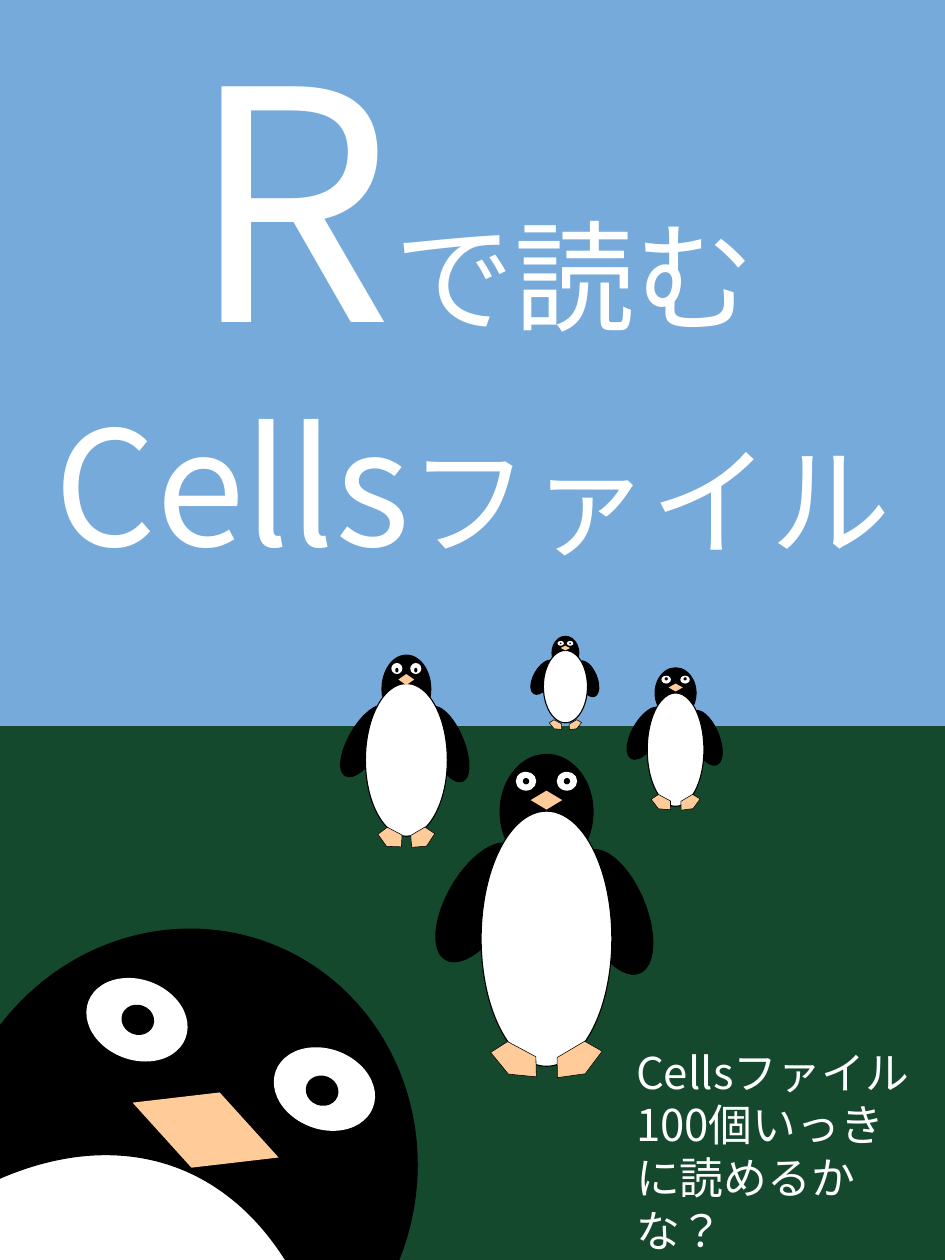
"""Build a book cover with penguins standing on a green field."""
import pptx
import pptx.util
import pptx.dml.color
import pptx.enum.lang
import pptx.enum.shapes
import pptx.enum.text
import lxml.etree

Cm = pptx.util.Cm
Pt = pptx.util.Pt
KIND = pptx.enum.shapes.MSO_SHAPE
INCH = 2.54

THEME = {
    "sky": "75AADB", "field": "15492E", "black": "000000",
    "white": "FFFFFF", "beak": "FFCC99", "font": "Noto Sans CJK JP",
    "letter": 147, "word": 73, "kana": 55, "note": 20,
}


def add_part(shapes, kind, box, fill, line=0, turn=0):
    part = shapes.add_shape(kind, *(Cm(side * INCH) for side in box))
    part.shadow.inherit = False
    part.rotation = turn
    part.fill.solid()
    part.fill.fore_color.rgb = pptx.dml.color.RGBColor.from_string(THEME[fill])
    if line:
        part.line.color.rgb = pptx.dml.color.RGBColor.from_string(THEME["black"])
        part.line.width = Pt(line)
    else:
        part.line.fill.background()


def add_text(shapes, box, paragraphs, align):
    frame = shapes.add_textbox(*(Cm(side * INCH) for side in box)).text_frame
    frame.word_wrap = True
    frame.auto_size = pptx.enum.text.MSO_AUTO_SIZE.SHAPE_TO_FIT_TEXT
    for index, spans in enumerate(paragraphs):
        para = frame.add_paragraph() if index else frame.paragraphs[0]
        para.alignment = align
        for text, size in spans:
            span = para.add_run()
            span.text = text
            span.font.size = Pt(THEME[size])
            span.font.name = THEME["font"]
            span.font.language_id = pptx.enum.lang.MSO_LANGUAGE_ID.JAPANESE
            span.font.color.rgb = pptx.dml.color.RGBColor.from_string(THEME["white"])
            east = lxml.etree.SubElement(span.font._element, pptx.oxml.ns.qn("a:ea"))
            east.set("typeface", THEME["font"])


deck = pptx.Presentation()
deck.slide_width = Cm(6 * INCH)
deck.slide_height = Cm(8 * INCH)
page = deck.slides.add_slide(deck.slide_layouts[6])

add_part(page.shapes, KIND.RECTANGLE, (0, 4.56, 6, 3.44), "field")
add_part(page.shapes, KIND.RECTANGLE, (0, -0.02, 6, 4.63), "sky")
add_text(page.shapes, (0, -0.04, 6, 3.81),
         [[("R", "letter"), ("で読む", "kana")],
          [("Cells", "word"), ("ファイル", "kana")]],
         pptx.enum.text.PP_ALIGN.CENTER)

PARTS = {
    "head": (KIND.OVAL, "black", 0.5, (0,)),
    "wing": (KIND.OVAL, "black", 0.5, (30.1, 337.4)),
    "belly": (KIND.OVAL, "white", 0.5, (0,)),
    "eye": (KIND.OVAL, "white", 0, (0, 0)),
    "pupil": (KIND.OVAL, "black", 0, (0, 0)),
    "foot": (KIND.REGULAR_PENTAGON, "beak", 0.25, (208.1, 149.4)),
    "beak": (KIND.DIAMOND, "beak", 0, (0,)),
}
PENGUINS = [
    {"middle": 3.47, "wing drop": 0.06,
     "head": (0, 4.79, 0.59, 0.73), "wing": (0.43, 5.31, 0.4, 0.84),
     "belly": (0, 5.15, 0.83, 1.62), "eye": (0.13, 4.9, 0.13, 0.12),
     "pupil": (0.13, 4.94, 0.04, 0.04), "foot": (0.2, 6.65, 0.33, 0.18),
     "beak": (0, 5.02, 0.2, 0.12)},
    {"middle": 2.58, "wing drop": 0.02,
     "head": (0, 4.16, 0.31, 0.43), "wing": (0.26, 4.45, 0.21, 0.51),
     "belly": (0, 4.34, 0.52, 0.97), "eye": (0.06, 4.21, 0.07, 0.07),
     "pupil": (0.06, 4.24, 0.02, 0.03), "foot": (0.1, 5.27, 0.17, 0.11),
     "beak": (0, 4.28, 0.1, 0.07)},
    {"middle": 4.29, "wing drop": 0.03,
     "head": (0, 4.24, 0.26, 0.32), "wing": (0.19, 4.47, 0.17, 0.37),
     "belly": (0, 4.4, 0.36, 0.72), "eye": (0.06, 4.29, 0.06, 0.05),
     "pupil": (0.06, 4.3, 0.02, 0.02), "foot": (0.09, 5.06, 0.14, 0.08),
     "beak": (0, 4.34, 0.09, 0.05)},
    {"middle": 3.59, "wing drop": 0.01,
     "head": (0, 4.04, 0.17, 0.21), "wing": (0.14, 4.18, 0.12, 0.24),
     "belly": (0, 4.13, 0.28, 0.46), "eye": (0.03, 4.07, 0.04, 0.03),
     "pupil": (0.03, 4.08, 0.01, 0.01), "foot": (0.06, 4.58, 0.09, 0.05),
     "beak": (0, 4.1, 0.06, 0.03)},
]
for penguin in PENGUINS:
    group = page.shapes.add_group_shape()
    for name, (kind, fill, line, turns) in PARTS.items():
        offset, top, width, height = penguin[name]
        for side, turn in zip((-1, 1), turns):
            left = penguin["middle"] + side * offset - width / 2
            drop = penguin["wing drop"] if name == "wing" and side > 0 else 0
            add_part(group.shapes, kind, (left, top + drop, width, height), fill, line, turn)

TILT = 20.6
near_penguin = page.shapes.add_group_shape()
for name, box in [
    ("head", (-0.32, 5.89, 2.96, 3.11)),
    ("belly", (-2.16, 7.19, 4.13, 6.93)),
    ("eye", (0.54, 6.22, 0.66, 0.51)),
    ("eye", (1.73, 6.66, 0.66, 0.51)),
    ("pupil", (1.94, 6.83, 0.21, 0.19)),
    ("pupil", (0.77, 6.38, 0.21, 0.19)),
    ("beak", (0.81, 6.92, 0.99, 0.51)),
]:
    kind, fill, line, turns = PARTS[name]
    add_part(near_penguin.shapes, kind, box, fill, line, TILT)

add_text(page.shapes, (3.94, 6.59, 1.97, 1.11),
         [[("Cellsファイル100個いっきに読めるかな？", "note")]],
         pptx.enum.text.PP_ALIGN.LEFT)

deck.save("out.pptx")
